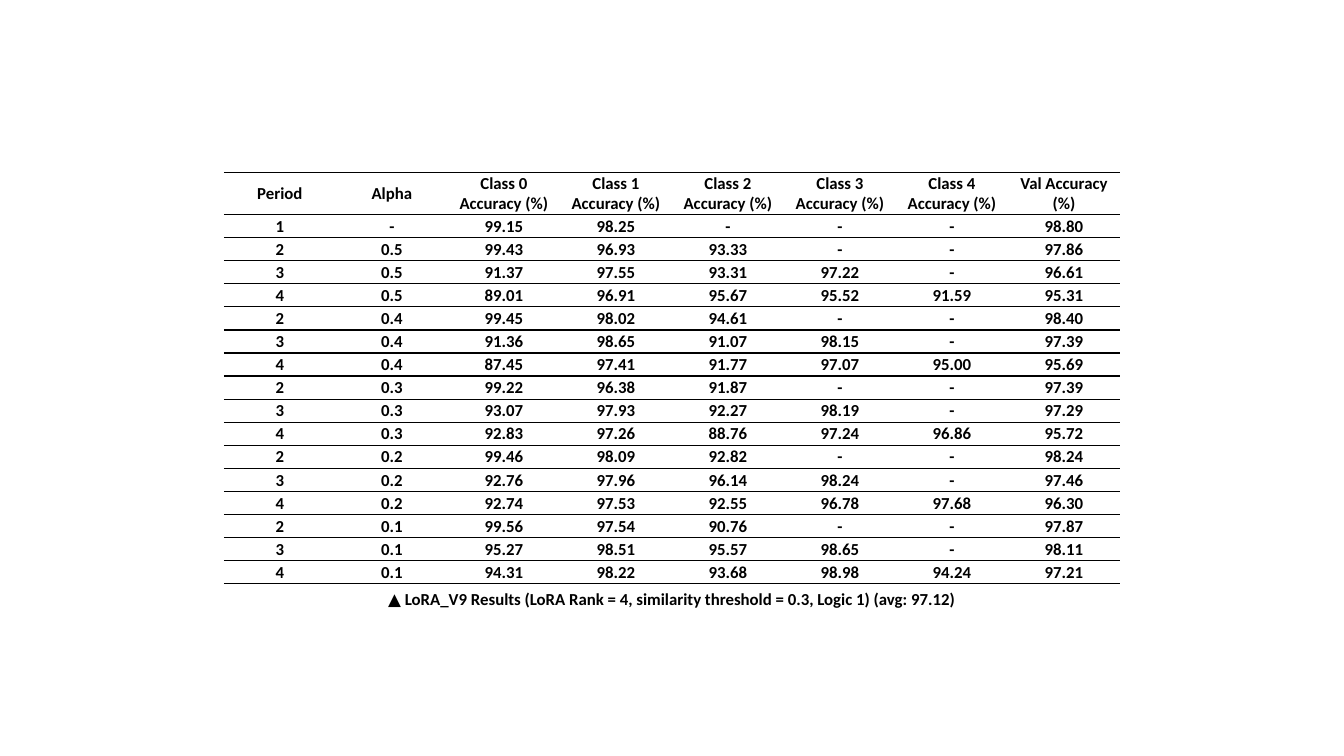
import dataclasses

import lxml.etree
import pptx
import pptx.dml.color
import pptx.enum.text
import pptx.oxml.ns
import pptx.slide
import pptx.table
import pptx.text.text
import pptx.util

Inches = pptx.util.Inches
COLORS = {"text": "000000", "rule": "000000"}
HEADERS = ["Period", "Alpha", *(f"Class {i} Accuracy (%)" for i in range(5)), "Val Accuracy\n(%)"]
LEFT, TOP, WIDTH, HEIGHT = 2.22, 1.71, 8.89, 4.08
HEADER_HEIGHT = 0.42
NO_STYLE = "{2D5ABB26-0587-4C30-8999-92F81FD0307C}"


@dataclasses.dataclass(frozen=True)
class Result:
    period: int
    alpha: str
    classes: tuple[str, ...]
    val: str

    def cells(self) -> list[str]:
        gaps = ["-"] * (5 - len(self.classes))
        return [str(self.period), self.alpha, *self.classes, *gaps, self.val]


RESULTS = [
    Result(1, "-", ("99.15", "98.25"), "98.80"),
    Result(2, "0.5", ("99.43", "96.93", "93.33"), "97.86"),
    Result(3, "0.5", ("91.37", "97.55", "93.31", "97.22"), "96.61"),
    Result(4, "0.5", ("89.01", "96.91", "95.67", "95.52", "91.59"), "95.31"),
    Result(2, "0.4", ("99.45", "98.02", "94.61"), "98.40"),
    Result(3, "0.4", ("91.36", "98.65", "91.07", "98.15"), "97.39"),
    Result(4, "0.4", ("87.45", "97.41", "91.77", "97.07", "95.00"), "95.69"),
    Result(2, "0.3", ("99.22", "96.38", "91.87"), "97.39"),
    Result(3, "0.3", ("93.07", "97.93", "92.27", "98.19"), "97.29"),
    Result(4, "0.3", ("92.83", "97.26", "88.76", "97.24", "96.86"), "95.72"),
    Result(2, "0.2", ("99.46", "98.09", "92.82"), "98.24"),
    Result(3, "0.2", ("92.76", "97.96", "96.14", "98.24"), "97.46"),
    Result(4, "0.2", ("92.74", "97.53", "92.55", "96.78", "97.68"), "96.30"),
    Result(2, "0.1", ("99.56", "97.54", "90.76"), "97.87"),
    Result(3, "0.1", ("95.27", "98.51", "95.57", "98.65"), "98.11"),
    Result(4, "0.1", ("94.31", "98.22", "93.68", "98.98", "94.24"), "97.21"),
]


def add_run(p: pptx.text.text._Paragraph, text: str, font: str = "Calibri") -> None:
    p.alignment = pptx.enum.text.PP_ALIGN.CENTER
    r = p.add_run()
    r.text = text
    r.font.name = font
    r.font.size = pptx.util.Pt(12)
    r.font.bold = True
    r.font.color.rgb = pptx.dml.color.RGBColor.from_string(COLORS["text"])


def add_rule(cell: pptx.table._Cell, side: str) -> None:
    qn = pptx.oxml.ns.qn
    ln = lxml.etree.SubElement(cell._tc.get_or_add_tcPr(), qn(f"a:{side}"), w=str(pptx.util.Pt(1)))
    fill = lxml.etree.SubElement(ln, qn("a:solidFill"))
    lxml.etree.SubElement(fill, qn("a:srgbClr"), val=COLORS["rule"])


def fill_cell(cell: pptx.table._Cell, text: str, sides: list[str]) -> None:
    cell.margin_left = cell.margin_right = cell.margin_top = Inches(0.01)
    cell.margin_bottom = 0
    cell.vertical_anchor = pptx.enum.text.MSO_ANCHOR.MIDDLE
    tf = cell.text_frame
    for i, line in enumerate(text.split("\n")):
        add_run(tf.add_paragraph() if i else tf.paragraphs[0], line)
    for side in sides:
        add_rule(cell, side)
    cell.fill.background()


def add_results(s: pptx.slide.Slide) -> None:
    rows = [HEADERS, *(result.cells() for result in RESULTS)]
    table = s.shapes.add_table(
        len(rows), len(HEADERS), Inches(LEFT), Inches(TOP), Inches(WIDTH), Inches(HEIGHT)
    ).table
    table.first_row = table.horz_banding = False
    table._tbl.tblPr.find(pptx.oxml.ns.qn("a:tableStyleId")).text = NO_STYLE
    for column in table.columns:
        column.width = Inches(WIDTH / len(HEADERS))

    ruled = {0, 1, len(rows)}
    for i, result in enumerate(RESULTS, start=1):
        if result.period == 2:
            ruled |= {i, i + 1}

    for i, values in enumerate(rows):
        table.rows[i].height = Inches((HEIGHT - HEADER_HEIGHT) / len(RESULTS) if i else HEADER_HEIGHT)
        sides = [side for side, edge in (("lnT", i), ("lnB", i + 1)) if edge in ruled]
        for j, text in enumerate(values):
            fill_cell(table.cell(i, j), text, sides)


def add_caption(s: pptx.slide.Slide) -> None:
    sp = s.shapes.add_textbox(Inches(3.33), Inches(TOP + HEIGHT), Inches(6.67), Inches(0.3))
    tf = sp.text_frame
    tf.word_wrap = True
    tf.auto_size = pptx.enum.text.MSO_AUTO_SIZE.SHAPE_TO_FIT_TEXT
    p = tf.paragraphs[0]
    add_run(p, "▲", "Lato")
    add_run(p, " LoRA_V9 Results (LoRA Rank = 4, similarity threshold = 0.3, Logic 1) (avg: 97.12)")


def main() -> None:
    prs = pptx.Presentation()
    prs.slide_width, prs.slide_height = Inches(13.33), Inches(7.5)
    s = prs.slides.add_slide(prs.slide_layouts[6])
    add_results(s)
    add_caption(s)
    prs.save("out.pptx")


if __name__ == "__main__":
    main()
